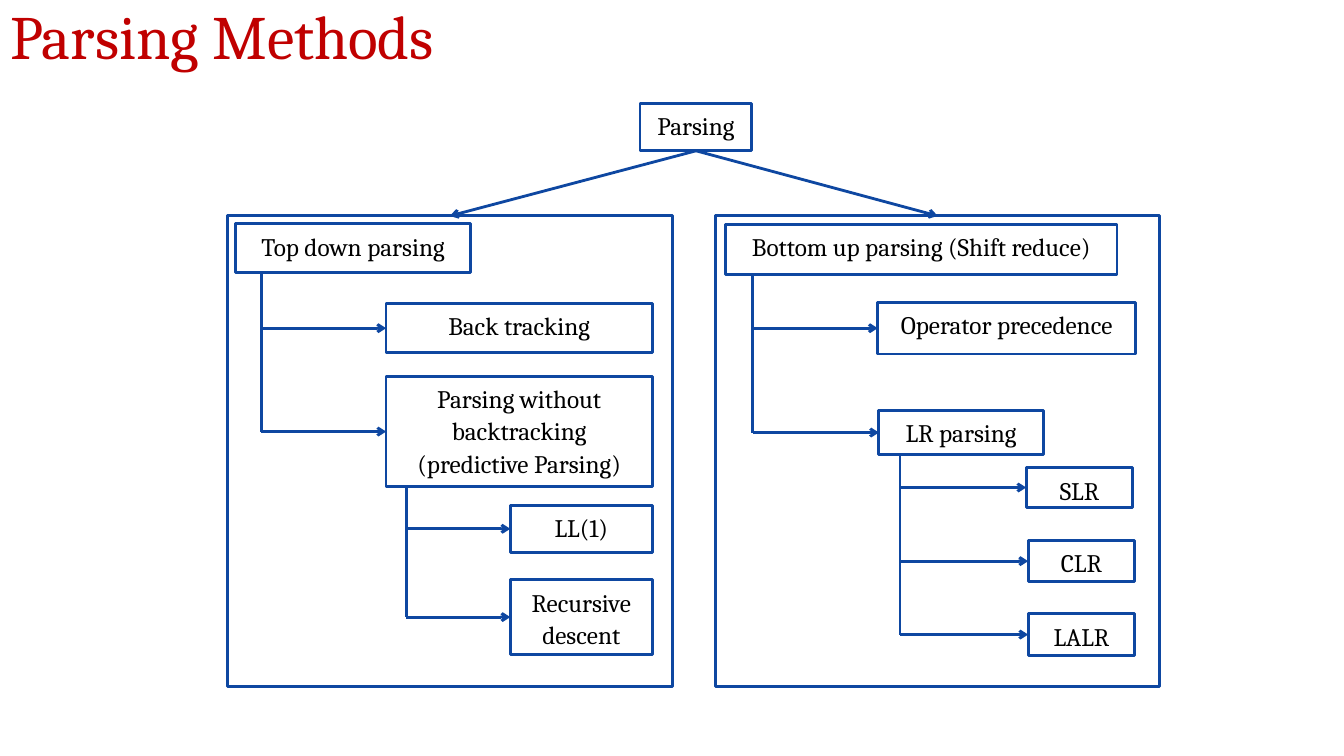
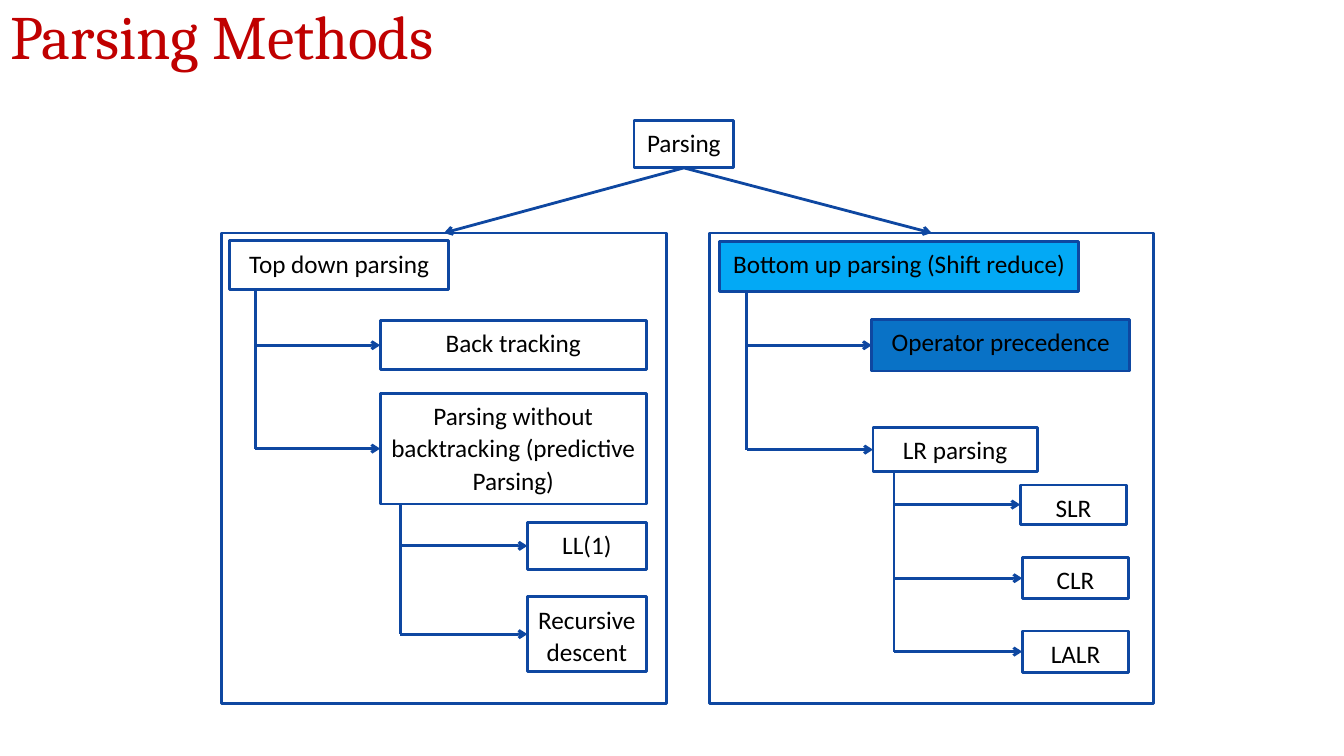
import pptx
import pptx.dml.color
import pptx.enum.shapes
import pptx.enum.text
import pptx.util
from dataclasses import dataclass, field
from lxml import etree

Cm = pptx.util.Cm
Pt = pptx.util.Pt

COLORS = {
    "title": "C00000",
    "outline": "0E47A1",
    "text": "000000",
    "current_branch": "03A9F5",
    "current_method": "0972C6",
}
TITLE_FONT = "Cambria"
DRAWING_NS = "http://schemas.openxmlformats.org/drawingml/2006/main"

PANEL_WIDTH, PANEL_HEIGHT = 11.2, 11.86
PANEL_LEFTS = (0, 12.29)
PREDICTIVE = "Parsing without backtracking (predictive Parsing)"
BOTTOM_UP = "Bottom up parsing (Shift reduce)"
RECURSIVE = "Recursive\ndescent"
LEAF_RIGHT = 10.7

METHODS = {
    "Parsing": (10.39, -2.83, 2.82, 1.19),
    "Top down parsing": (0.2, 0.2, 5.92, 1.22),
    BOTTOM_UP: (12.55, 0.21, 9.86, 1.27),
    "Back tracking": (3.99, 2.21, 6.71, 1.24),
    PREDICTIVE: (3.99, 4.04, 6.71, 2.79),
    "LL(1)": (7.12, 7.29, 3.58, 1.19),
    RECURSIVE: (7.12, 9.17, 3.58, 1.88),
    "Operator precedence": (16.38, 2.18, 6.5, 1.3),
    "LR parsing": (16.41, 4.9, 4.14, 1.12),
    "SLR": (20.12, 6.35, 2.69, 0.99),
    "CLR": (20.17, 8.18, 2.69, 1.04),
    "LALR": (20.17, 10.03, 2.69, 1.04),
}
BRANCHES = (
    ("Top down parsing", 0.84, ("Back tracking", PREDICTIVE)),
    (PREDICTIVE, 4.5, ("LL(1)", RECURSIVE)),
    (BOTTOM_UP, 13.23, ("Operator precedence", "LR parsing")),
    ("LR parsing", 16.94, ("SLR", "CLR", "LALR")),
)


@dataclass
class Tree:
    font: str
    left: float
    top: float
    widths: dict = field(default_factory=dict)
    fills: dict = field(default_factory=dict)


TREES = (
    Tree("Cambria", 5.74, 5.44),
    Tree(
        "Calibri", 5.59, 5.87,
        widths={"Parsing": 2.51, "Top down parsing": 5.51, BOTTOM_UP: 9.04,
                "LL(1)": 3.0, RECURSIVE: 3.0},
        fills={BOTTOM_UP: "current_branch", "Operator precedence": "current_method"},
    ),
)


def rgb(color):
    return pptx.dml.color.RGBColor.from_string(COLORS[color])


def format_text(paragraph, font, size, color):
    for run in paragraph.runs:
        run.font.name = font
        run.font.size = Pt(size)
        run.font.color.rgb = rgb(color)


def set_outline(line):
    line.color.rgb = rgb("outline")
    line.width = Pt(2)


def add_title(slide, text, width):
    title = slide.shapes.title
    title.left, title.top, title.width, title.height = 0, 0, width, Cm(1.98)
    frame = title.text_frame
    frame.text = text
    frame.auto_size = pptx.enum.text.MSO_AUTO_SIZE.NONE
    frame.vertical_anchor = pptx.enum.text.MSO_ANCHOR.MIDDLE
    heading = frame.paragraphs[0]
    heading.alignment = pptx.enum.text.PP_ALIGN.LEFT
    heading.line_spacing = 0.9
    format_text(heading, TITLE_FONT, 44, "title")


def add_frame(slide, left, top, width, height, fill=None):
    frame = slide.shapes.add_shape(
        pptx.enum.shapes.MSO_SHAPE.RECTANGLE, Cm(left), Cm(top), Cm(width), Cm(height))
    frame.shadow.inherit = False
    set_outline(frame.line)
    if fill:
        frame.fill.solid()
        frame.fill.fore_color.rgb = rgb(fill)
    else:
        frame.fill.background()
    return frame


def add_method(slide, tree, name):
    left, top, width, height = METHODS[name]
    width = tree.widths.get(name, width)
    if name in ("LL(1)", RECURSIVE):
        left = LEAF_RIGHT - width
    method = add_frame(slide, tree.left + left, tree.top + top, width, height,
                       tree.fills.get(name))
    label = method.text_frame
    label.text = name
    label.word_wrap = True
    label.vertical_anchor = pptx.enum.text.MSO_ANCHOR.TOP
    for paragraph in label.paragraphs:
        paragraph.alignment = pptx.enum.text.PP_ALIGN.CENTER
        paragraph.line_spacing = 1.07
        format_text(paragraph, tree.font, 18, "text")
    return method


def add_line(slide, start_x, start_y, end_x, end_y):
    line = slide.shapes.add_connector(
        pptx.enum.shapes.MSO_CONNECTOR.STRAIGHT, start_x, start_y, end_x, end_y)
    set_outline(line.line)
    etree.SubElement(line._element.spPr, f"{{{DRAWING_NS}}}effectLst")
    return line


def add_arrow(slide, start_x, start_y, target, side):
    arrow = add_line(slide, start_x, start_y, target.left, target.top)
    arrow.end_connect(target, side)
    outline = arrow.line._get_or_add_ln()
    etree.SubElement(outline, f"{{{DRAWING_NS}}}tailEnd", type="arrow")
    return arrow


def add_branch(slide, parent, trunk_x, children):
    bottom = parent.top + parent.height
    last = children[-1]
    add_line(slide, trunk_x, bottom, trunk_x, last.top + last.height // 2)
    for child in children:
        add_arrow(slide, trunk_x, child.top + child.height // 2, child, 1)


def add_tree(slide, tree):
    panels = [add_frame(slide, tree.left + left, tree.top, PANEL_WIDTH, PANEL_HEIGHT)
              for left in PANEL_LEFTS]
    methods = {name: add_method(slide, tree, name) for name in METHODS}
    root = methods["Parsing"]
    for panel in panels:
        add_arrow(slide, root.left, root.top, panel, 0).begin_connect(root, 2)
    for parent, trunk, children in BRANCHES:
        add_branch(slide, methods[parent], Cm(tree.left + trunk),
                   [methods[child] for child in children])


def main():
    deck = pptx.Presentation()
    deck.slide_width, deck.slide_height = Cm(33.87), Cm(19.05)
    title_only = deck.slide_layouts[5]
    for tree in TREES:
        slide = deck.slides.add_slide(title_only)
        add_title(slide, "Parsing Methods", deck.slide_width)
        add_tree(slide, tree)
    deck.save("out.pptx")


if __name__ == "__main__":
    main()
